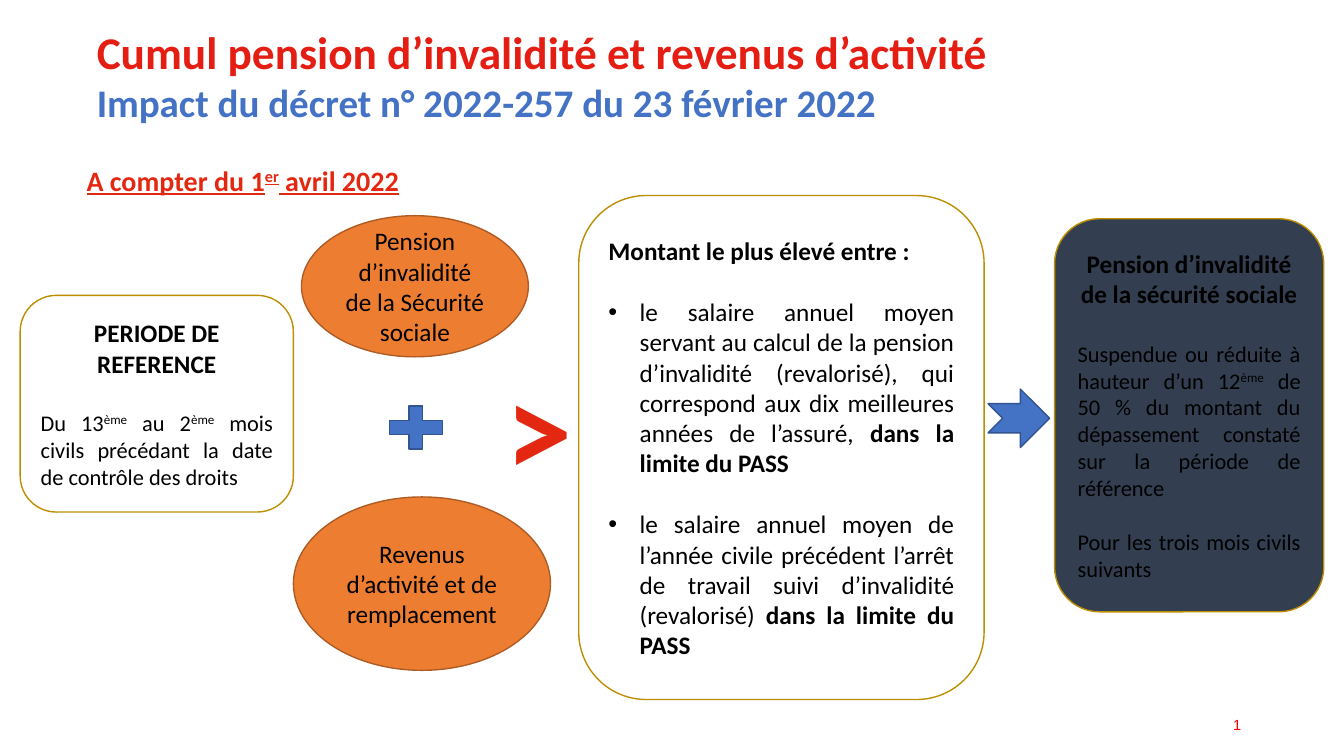
from lxml import etree
from pptx import Presentation
from pptx.dml.color import RGBColor
from pptx.enum import shapes, text
from pptx.oxml import ns
from pptx.util import Inches, Pt

COLORS = {
    "title": "E41E13", "subtitle": "4472C4", "accent": "E42710", "number": "FF0000",
    "black": "000000", "orange": "ED7D31", "orange_line": "AF5C24",
    "blue": "4472C4", "blue_line": "325491", "dark": "333F50", "gold": "BD8E00",
}
SHAPE = shapes.MSO_SHAPE
LEFT, CENTER, RIGHT, JUSTIFY = (
    text.PP_ALIGN.LEFT, text.PP_ALIGN.CENTER, text.PP_ALIGN.RIGHT, text.PP_ALIGN.JUSTIFY)
MIDDLE, TOP = text.MSO_ANCHOR.MIDDLE, text.MSO_ANCHOR.TOP

# Run formats
BODY = {"size": Pt(18), "bold": False}
STRONG = {"size": Pt(18), "bold": True}
SMALL = {"size": Pt(16), "bold": False}
DATE = {"size": Pt(20), "bold": True, "underline": True, "color": "accent"}
GAP, SMALL_GAP = 22, 19.5


def rgb(name):
    return RGBColor.from_string(COLORS[name])


def add_run(p, words, fmt, raised=False):
    fmt = {"name": "Calibri", "color": "black", **fmt}
    r = p.add_run()
    r.text = words
    r.font.color.rgb = rgb(fmt.pop("color"))
    for key, value in fmt.items():
        setattr(r.font, key, value)
    if raised:
        r._r.get_or_add_rPr().set("baseline", "30000")


def with_raised(fmt, *parts):
    """Every second part is set as superscript."""
    return [(part, fmt, i % 2 == 1) for i, part in enumerate(parts)]


def add_bullet(p):
    pPr = p._p.get_or_add_pPr()
    pPr.set("marL", str(Inches(0.31)))
    pPr.set("indent", str(-Inches(0.31)))
    etree.SubElement(pPr, ns.qn("a:buFont")).set("typeface", "Arial")
    etree.SubElement(pPr, ns.qn("a:buChar")).set("char", "•")


def fill_text(tf, paragraphs, anchor=MIDDLE):
    """Each paragraph is (alignment, space before, runs, bulleted)."""
    tf.word_wrap = True
    tf.vertical_anchor = anchor
    for i, (align, gap, runs, bulleted) in enumerate(paragraphs):
        p = tf.add_paragraph() if i else tf.paragraphs[0]
        p.alignment = align
        p.space_before = Pt(gap)
        if bulleted:
            add_bullet(p)
        for run in runs:
            add_run(p, *run)


def add_box(s, kind, place, line, fill=None, paragraphs=()):
    sp = s.shapes.add_shape(kind, *map(Inches, place))
    sp.shadow.inherit = False
    if fill:
        sp.fill.solid()
        sp.fill.fore_color.rgb = rgb(fill)
    else:
        sp.fill.background()
    sp.line.color.rgb = rgb(line)
    sp.line.width = Pt(1)
    fill_text(sp.text_frame, paragraphs)


def add_label(s, place, runs, align=LEFT, anchor=TOP):
    tf = s.shapes.add_textbox(*map(Inches, place)).text_frame
    fill_text(tf, [(align, 0, runs, False)], anchor)
    return tf.paragraphs[0]


def add_title(s):
    title = s.shapes.title
    title.left, title.top, title.width, title.height = map(Inches, (0.76, 0.21, 11.73, 1.06))
    tf = title.text_frame
    fill_text(tf, [(LEFT, 0, [], False)])
    tf.auto_size = text.MSO_AUTO_SIZE.NONE
    p = tf.paragraphs[0]
    p._p.get_or_add_pPr().set("marL", str(Inches(0.1)))
    add_run(p, "Cumul pension d’invalidité et revenus d’activité",
            {"size": Pt(32.4), "bold": True, "color": "title"})
    p.add_line_break()
    add_run(p, "Impact du décret n° 2022-257 du 23 février 2022",
            {"size": Pt(27.9), "bold": True, "color": "subtitle"})


def add_slide_number(s):
    fmt = {"size": Pt(10.5), "name": "Arial", "color": "number"}
    p = add_label(s, (11.44, 6.99, 0.97, 0.4), [("2", fmt)], RIGHT, MIDDLE)
    # Turn the run into a slide number field
    r = p.runs[0]._r
    r.tag = ns.qn("a:fld")
    r.set("id", "{B6F15528-21DE-4FAA-801E-634DDDAF4B2B}")
    r.set("type", "slidenum")


def main():
    prs = Presentation()
    prs.slide_width, prs.slide_height = Inches(13.33), Inches(7.5)
    s = prs.slides.add_slide(prs.slide_layouts[5])

    # Heading
    add_title(s)
    add_label(s, (0.76, 1.57, 3.52, 0.44),
              with_raised(DATE, "A compter du 1", "er", " avril 2022"))

    # Reference period
    add_box(s, SHAPE.ROUNDED_RECTANGLE, (0.2, 2.93, 2.71, 2.15), "gold", None, [
        (CENTER, 0, [("PERIODE DE REFERENCE", STRONG)], False),
        (JUSTIFY, GAP, with_raised(
            SMALL, "Du 13", "ème", " au 2", "ème",
            " mois civils précédant la date de contrôle des droits"), False),
    ])

    # Incomes that are added up
    for place, words in (
        ((2.99, 2.14, 2.25, 1.4), "Pension d’invalidité de la Sécurité sociale"),
        ((2.91, 4.93, 2.55, 1.72), "Revenus d’activité et de remplacement"),
    ):
        add_box(s, SHAPE.OVAL, place, "orange_line", "orange",
                [(CENTER, 0, [(words, BODY)], False)])

    # Operators
    add_box(s, SHAPE.MATH_PLUS, (3.77, 3.95, 0.71, 0.58), "blue_line", "blue")
    add_box(s, SHAPE.NOTCHED_RIGHT_ARROW, (9.8, 3.86, 0.61, 0.58), "blue_line", "blue")
    add_label(s, (4.92, 3.36, 1.57, 1.72),
              [(">", {"size": Pt(96), "bold": True, "color": "accent"})])

    # Ceiling
    limit = ("dans la limite du PASS", STRONG)
    add_box(s, SHAPE.ROUNDED_RECTANGLE, (5.74, 1.94, 4.02, 5), "gold", None, [
        (JUSTIFY, 0, [("Montant le plus élevé entre :", STRONG)], False),
        (JUSTIFY, GAP, [(
            "le salaire annuel moyen servant au calcul de la pension d’invalidité "
            "(revalorisé), qui correspond aux dix meilleures années de l’assuré, ",
            BODY), limit], True),
        (JUSTIFY, GAP, [(
            "le salaire annuel moyen de l’année civile précédent l’arrêt de travail "
            "suivi d’invalidité (revalorisé) ", BODY), limit], True),
    ])

    # Consequence
    add_box(s, SHAPE.ROUNDED_RECTANGLE, (10.46, 2.17, 2.67, 3.9), "gold", "dark", [
        (CENTER, 0, [("Pension d’invalidité de la sécurité sociale", STRONG)], False),
        (JUSTIFY, GAP, with_raised(
            SMALL, "Suspendue ou réduite à hauteur d’un 12", "ème",
            " de 50 % du montant du dépassement constaté sur la période de référence"), False),
        (JUSTIFY, SMALL_GAP, [("Pour les trois mois civils suivants", SMALL)], False),
    ])

    add_slide_number(s)
    prs.save("out.pptx")


if __name__ == "__main__":
    main()
